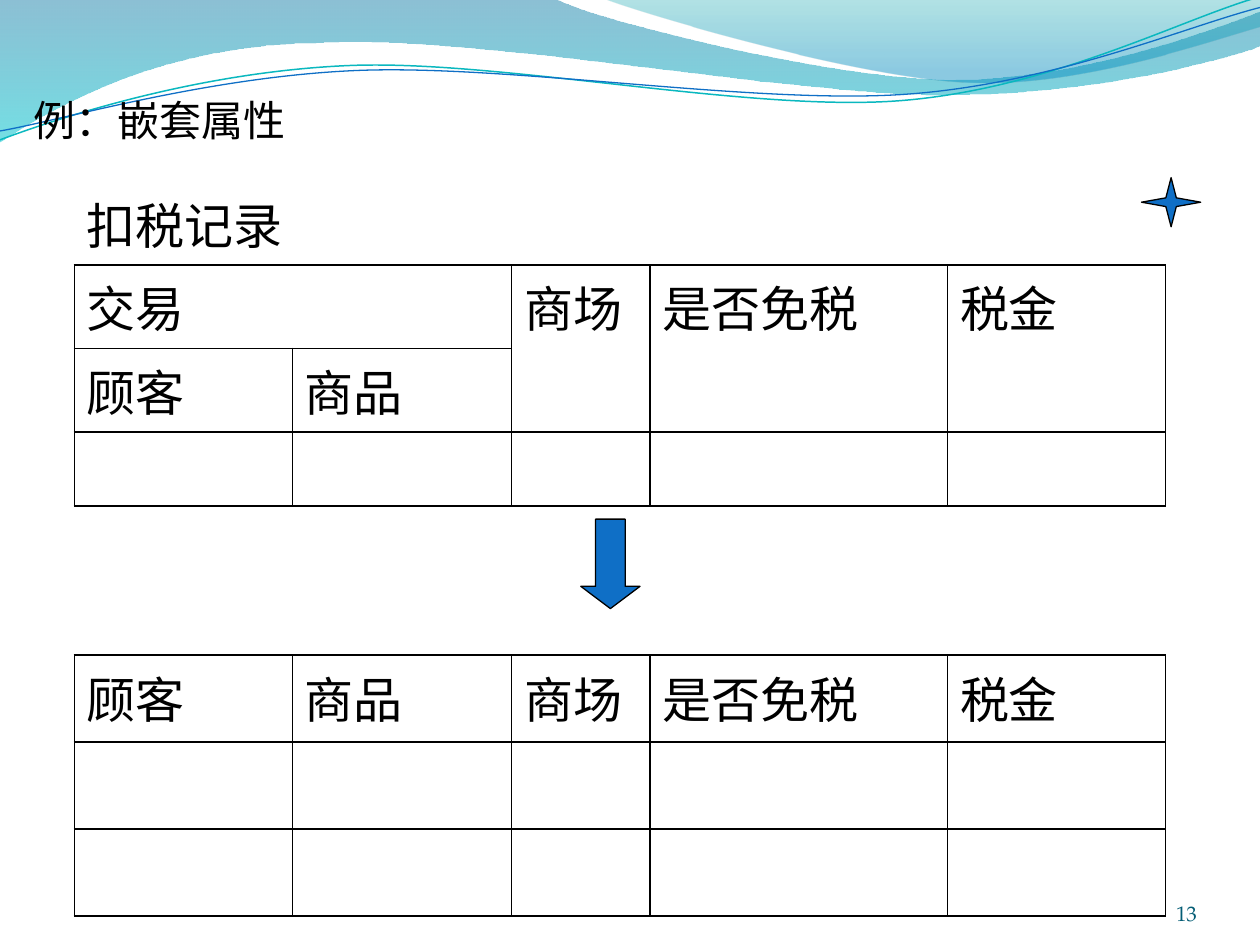
from math import cos, radians, sin

from lxml.etree import SubElement
from pptx import Presentation
from pptx.dml.color import RGBColor
from pptx.enum.shapes import MSO_SHAPE
from pptx.enum.text import MSO_ANCHOR, MSO_AUTO_SIZE, PP_ALIGN
from pptx.oxml import parse_xml
from pptx.oxml.ns import nsdecls, qn
from pptx.util import Inches, Pt

BLACK = RGBColor(0x00, 0x00, 0x00)
BLUE = RGBColor(0x0F, 0x6F, 0xC6)
TEAL = RGBColor(0x0A, 0xB8, 0xBF)
NUMBER_COLOR = RGBColor(0x04, 0x5D, 0x75)
WAVE_TOP = RGBColor(0x00, 0x74, 0xA1)
WAVE_BOTTOM = RGBColor(0x00, 0xC6, 0xCF)
CREST_TOP = RGBColor(0x00, 0xA1, 0xA9)
CREST_BOTTOM = RGBColor(0x00, 0x8B, 0xBF)

BODY_FONT = "DejaVu Sans"
NUMBER_FONT = "TeX Gyre Pagella"
COLUMN_WIDTHS = [1.73, 1.74, 1.1, 2.36, 1.73]
TABLE_LEFT = 0.59
CURVE_TILT = 2.7

WAVE = [
    [(0, -0.01)],
    [(4.4, -0.01)],
    [(4.76, 0.17), (6.64, 0.63), (7.58, 0.63)],
    [(8.53, 0.63), (9.58, 0.26), (10, 0.09)],
    [(10.01, 0.36)],
    [(9.83, 0.44), (8.7, 0.76), (7.46, 0.75)],
    [(6.22, 0.75), (3.82, 0.28), (2.57, 0.34)],
    [(1.29, 0.35), (0.46, 0.83), (-0.01, 1.13)],
    [(0, -0.01)],
]
CREST = [
    [(4.79, -0.01)],
    [(5.09, 0.11), (6.82, 0.62), (7.69, 0.65)],
    [(8.56, 0.69), (9.61, 0.32), (10, 0.21)],
    [(10, 0)],
    [(4.79, -0.01)],
]
TEAL_CURVE = [
    [(0, 1.11)],
    [(0.48, 0.93), (1.58, 0.57), (2.77, 0.52)],
    [(3.95, 0.47), (5.93, 0.89), (7.13, 0.8)],
    [(8.33, 0.71), (9.38, 0.15), (9.98, -0.02)],
]
BLUE_CURVE = [
    [(0, 1.04)],
    [(0.47, 0.96), (1.64, 0.61), (2.83, 0.56)],
    [(4.03, 0.51), (5.97, 0.83), (7.17, 0.75)],
    [(8.36, 0.67), (9.41, 0.21), (10, 0.06)],
]


def tilt(segments, center):
    angle = radians(CURVE_TILT)
    center_x, center_y = center

    def turn(x, y):
        dx, dy = x - center_x, y - center_y
        return (
            center_x + dx * cos(angle) - dy * sin(angle),
            center_y + dx * sin(angle) + dy * cos(angle),
        )

    return [[turn(*point) for point in segment] for segment in segments]


def add_outline(shapes, segments, close):
    start, *others = [
        (Inches(x), Inches(y)) for segment in segments for x, y in segment
    ]
    builder = shapes.build_freeform(*start)
    builder.add_line_segments(others, close=close)
    shape = builder.convert_to_shape()
    shape.shadow.inherit = False
    lines = shape._element.spPr.iter(qn("a:lnTo"))
    remaining = iter(list(lines))
    for segment in segments[1:]:
        first, *rest = [next(remaining) for _ in segment]
        if rest:
            first.tag = qn("a:cubicBezTo")
            for line in rest:
                first.append(line[0])
                line.getparent().remove(line)
    return shape


def add_wave(slide, segments, stops):
    shape = add_outline(slide.shapes, segments, True)
    shape.line.fill.background()
    shape.fill.gradient()
    shape.fill.gradient_angle = 270
    for stop, (color, _, _) in zip(shape.fill.gradient_stops, stops):
        stop.color.rgb = color
    elements = shape._element.spPr.iter(qn("a:gs"))
    for element, (_, position, opacity) in zip(elements, stops):
        element.set("pos", str(position * 1000))
        SubElement(element[0], qn("a:alpha")).set("val", str(opacity * 1000))


def add_curve(group, segments, center, color, width):
    shape = add_outline(group.shapes, tilt(segments, center), False)
    shape.rotation = 360 - CURVE_TILT
    shape.fill.background()
    shape.line.color.rgb = color
    shape.line.width = Pt(width)


def format_text(paragraph, size, font_name, color):
    for run in paragraph.runs:
        run.font.size = Pt(size)
        run.font.name = font_name
        run.font.color.rgb = color


def set_borders(cell, visible_sides):
    properties = cell._tc.get_or_add_tcPr()
    for index, side in enumerate("LRTB"):
        paint = "<a:noFill/>"
        if side in visible_sides:
            paint = f'<a:solidFill><a:srgbClr val="{BLACK}"/></a:solidFill>'
        border = parse_xml(
            f'<a:ln{side} {nsdecls("a")} w="{Pt(1)}">{paint}</a:ln{side}>'
        )
        properties.insert(index, border)


def add_record_table(slide, top, row_heights, texts, merges=(), caption_rows=0):
    frame = slide.shapes.add_table(
        len(row_heights), len(COLUMN_WIDTHS), Inches(TABLE_LEFT), Inches(top),
        Inches(sum(COLUMN_WIDTHS)), Inches(sum(row_heights)),
    )
    table = frame.table
    table.first_row = False
    table.horz_banding = False
    for column, width in zip(table.columns, COLUMN_WIDTHS):
        column.width = Inches(width)
    for row_index, (row, height) in enumerate(zip(table.rows, row_heights)):
        row.height = Inches(height)
        for cell in row.cells:
            cell.fill.background()
            set_borders(cell, "B" if row_index < caption_rows else "LRTB")
    for first, last in merges:
        table.cell(*first).merge(table.cell(*last))
    for position, text in texts.items():
        cell = table.cell(*position)
        cell.text_frame.text = text
        format_text(cell.text_frame.paragraphs[0], 28, BODY_FONT, BLACK)


def add_symbol(slide, kind, left, top, width, height, adjustments):
    shape = slide.shapes.add_shape(
        kind, Inches(left), Inches(top), Inches(width), Inches(height)
    )
    shape.shadow.inherit = False
    for index, value in enumerate(adjustments):
        shape.adjustments[index] = value
    shape.fill.solid()
    shape.fill.fore_color.rgb = BLUE
    shape.line.color.rgb = BLACK
    shape.line.width = Pt(0.75)


def add_text(slide, text, left, top, width, height, size, font_name, color):
    box = slide.shapes.add_textbox(
        Inches(left), Inches(top), Inches(width), Inches(height)
    )
    box.text_frame.text = text
    format_text(box.text_frame.paragraphs[0], size, font_name, color)
    return box.text_frame


def add_slide_number(slide):
    frame = add_text(slide, "13", 8.67, 6.95, 0.83, 0.4, 12, NUMBER_FONT, NUMBER_COLOR)
    frame.word_wrap = True
    frame.vertical_anchor = MSO_ANCHOR.BOTTOM
    frame.margin_left = frame.margin_right = 0
    frame.margin_top = frame.margin_bottom = 0
    frame.paragraphs[0].alignment = PP_ALIGN.RIGHT


def main():
    presentation = Presentation()
    presentation.slide_width = Inches(10)
    presentation.slide_height = Inches(7.5)
    slide = presentation.slides.add_slide(presentation.slide_layouts[6])

    add_wave(slide, WAVE, [(WAVE_TOP, 0, 45), (WAVE_BOTTOM, 100, 55)])
    add_wave(slide, CREST, [(CREST_TOP, 0, 30), (CREST_BOTTOM, 80, 45)])
    curves = slide.shapes.add_group_shape()
    add_curve(curves, TEAL_CURVE, (4.99, 0.58), TEAL, 0.85)
    add_curve(curves, BLUE_CURVE, (5, 0.59), BLUE, 0.75)

    headers = ["顾客", "商品", "商场", "是否免税", "税金"]
    flat_texts = {(0, column): text for column, text in enumerate(headers)}
    add_record_table(slide, 5.2, [0.69] * 3, flat_texts)

    nested_texts = {(0, 0): "扣税记录", (1, 0): "交易"}
    for column, text in enumerate(headers):
        nested_texts[(2 if column < 2 else 1, column)] = text
    merges = [((0, 0), (0, 4)), ((1, 0), (1, 1))]
    merges += [((1, column), (2, column)) for column in range(2, 5)]
    add_record_table(
        slide, 1.44, [0.63, 0.63, 0.59, 0.59], nested_texts, merges, caption_rows=1
    )

    title = add_text(slide, "例：嵌套属性", 0.17, 0.7, 2.2, 0.5, 24, BODY_FONT, BLACK)
    title.word_wrap = False
    title.auto_size = MSO_AUTO_SIZE.SHAPE_TO_FIT_TEXT
    add_symbol(slide, MSO_SHAPE.DOWN_ARROW, 4.61, 4.12, 0.47, 0.71, [0.5, 0.375])
    add_slide_number(slide)
    add_symbol(slide, MSO_SHAPE.STAR_4_POINT, 9.06, 1.41, 0.47, 0.39, [0.125])

    presentation.save("out.pptx")


if __name__ == "__main__":
    main()
